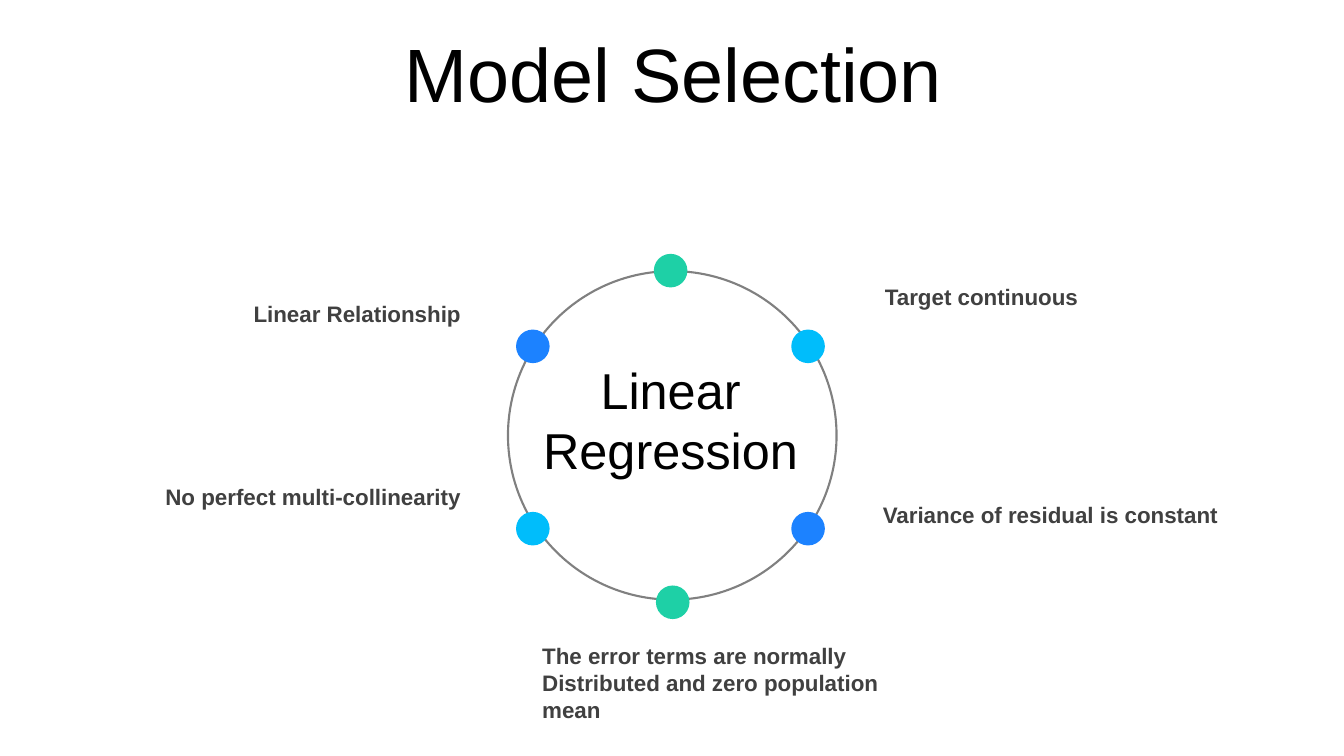
from dataclasses import dataclass
from typing import Any

from pptx import Presentation
from pptx.dml.color import RGBColor
from pptx.enum.shapes import MSO_SHAPE
from pptx.enum.text import MSO_ANCHOR as Anchor
from pptx.enum.text import MSO_AUTO_SIZE as AutoSize
from pptx.enum.text import PP_ALIGN as Align
from pptx.util import Pt

BLACK = RGBColor(0x00, 0x00, 0x00)
DARK_GREY = RGBColor(0x40, 0x40, 0x40)
RING_GREY = RGBColor(0x80, 0x80, 0x80)
GREEN = RGBColor(0x1E, 0xD0, 0xA6)
BLUE = RGBColor(0x1C, 0x82, 0xFF)
CYAN = RGBColor(0x00, 0xBD, 0xFB)

LABEL_WIDTH = 269.3
LEFT_LABELS, LEFT_DOTS, RIGHT_DOTS = 67, 380.6, 577.2
UPPER_DOTS, LOWER_DOTS = 247.4, 377.6
DOT_SIZE = 24
RING_SIZE = 234.7

TITLE_FONT = {"name": "Arial", "size": Pt(54), "bold": False}
CENTRE_FONT = {"name": "Arial", "size": Pt(36), "bold": False}
LABEL_FONT = {"name": "Arial", "size": Pt(16), "bold": True}


@dataclass(frozen=True)
class Label:
    text: str
    left: float
    top: float
    height: float = 26.6
    align: Align = Align.LEFT


@dataclass(frozen=True)
class Dot:
    centre_x: float
    centre_y: float
    color: RGBColor


LABELS = [
    Label("Target continuous", 625, 198.7),
    Label("Variance of residual is constant", 623.5, 354.2),
    Label("The error terms are normally Distributed and zero population mean", 380.2, 455, 65.5),
    Label("Linear Relationship", LEFT_LABELS, 211, align=Align.RIGHT),
    Label("No perfect multi-collinearity", LEFT_LABELS, 341.3, align=Align.RIGHT),
]

DOTS = [
    Dot(479, 193.3, GREEN),
    Dot(480.5, 430.2, GREEN),
    Dot(RIGHT_DOTS, LOWER_DOTS, BLUE),
    Dot(RIGHT_DOTS, UPPER_DOTS, CYAN),
    Dot(LEFT_DOTS, LOWER_DOTS, CYAN),
    Dot(LEFT_DOTS, UPPER_DOTS, BLUE),
]


def write_text(shape: Any, text: str, font_format: dict[str, Any], color: RGBColor, align: Align) -> Any:
    frame = shape.text_frame
    frame.word_wrap = True
    paragraph = frame.paragraphs[0]
    paragraph.alignment = align
    run = paragraph.add_run()
    run.text = text
    for name, value in font_format.items():
        setattr(run.font, name, value)
    run.font.color.rgb = color
    return paragraph


def add_title(slide: Any, text: str) -> None:
    title = slide.shapes.title
    title.left, title.top, title.width, title.height = Pt(25.2), Pt(22.3), Pt(911.5), Pt(66.2)
    title.text_frame.vertical_anchor = Anchor.MIDDLE
    title.text_frame.auto_size = AutoSize.NONE
    paragraph = write_text(title, text, TITLE_FONT, BLACK, Align.CENTER)
    paragraph.line_spacing = 0.9
    paragraph.space_before = Pt(10)


def add_label(slide: Any, label: Label) -> None:
    box = slide.shapes.add_textbox(Pt(label.left), Pt(label.top), Pt(LABEL_WIDTH), Pt(label.height))
    write_text(box, label.text, LABEL_FONT, DARK_GREY, label.align)


def add_circle(slide: Any, centre_x: float, centre_y: float, size: float) -> Any:
    circle = slide.shapes.add_shape(
        MSO_SHAPE.OVAL, Pt(centre_x - size / 2), Pt(centre_y - size / 2), Pt(size), Pt(size)
    )
    circle.shadow.inherit = False
    return circle


def add_ring(slide: Any) -> None:
    ring = add_circle(slide, 480.2, 311, RING_SIZE)
    ring.fill.background()
    ring.line.color.rgb = RING_GREY
    ring.line.width = Pt(1.5)


def add_dot(slide: Any, dot: Dot) -> None:
    circle = add_circle(slide, dot.centre_x, dot.centre_y, DOT_SIZE)
    circle.fill.solid()
    circle.fill.fore_color.rgb = dot.color
    circle.line.fill.background()


def main() -> None:
    presentation = Presentation()
    presentation.slide_width, presentation.slide_height = Pt(960), Pt(540)
    slide = presentation.slides.add_slide(presentation.slide_layouts[5])
    add_title(slide, "Model Selection")
    for label in LABELS:
        add_label(slide, label)
    add_ring(slide)
    for dot in DOTS:
        add_dot(slide, dot)
    centre = slide.shapes.add_textbox(Pt(375), Pt(252.7), Pt(208), Pt(94.3))
    write_text(centre, "Linear Regression", CENTRE_FONT, BLACK, Align.CENTER)
    presentation.save("out.pptx")


if __name__ == "__main__":
    main()
